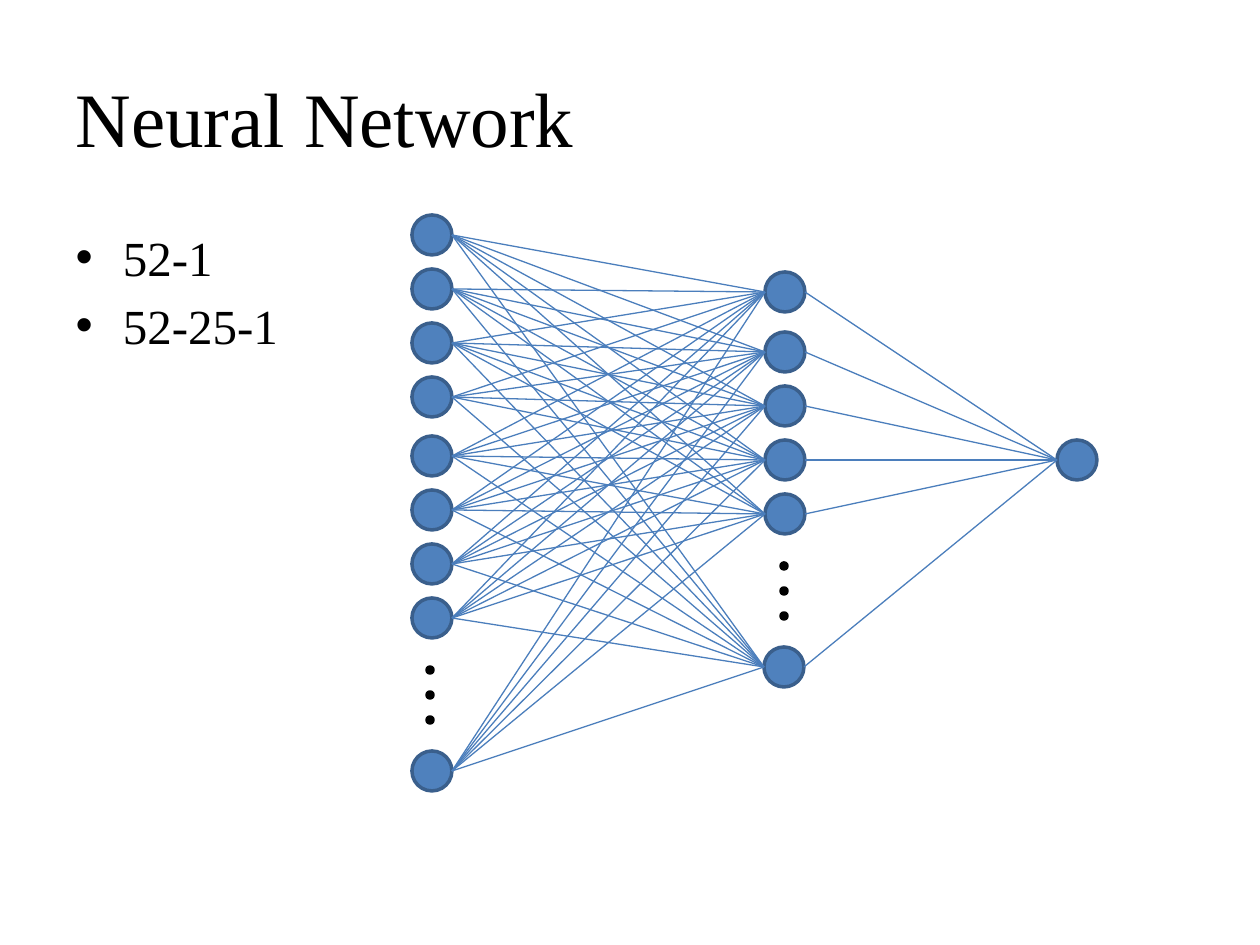
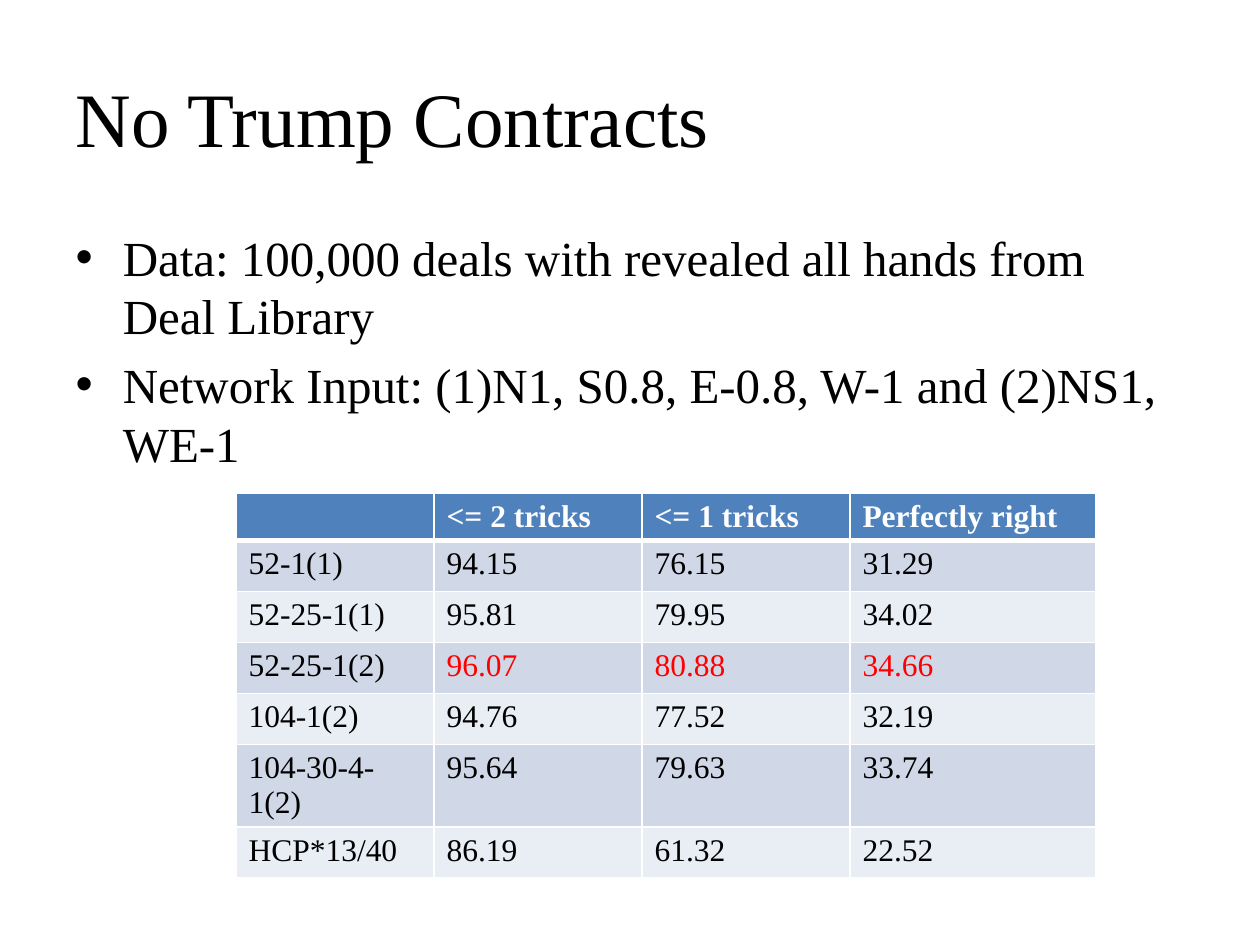
import itertools

import lxml.etree
import pptx
import pptx.dml.color
import pptx.enum.shapes
import pptx.enum.text
import pptx.oxml.ns
import pptx.util

EMU_PER_PX = 914400 / 126
FONT = "Times New Roman"
COLORS = {
    "text": "000000",
    "node": "4F81BD",
    "node_edge": "3A5F8C",
    "link": "4B7EBC",
    "header": "4F81BD",
    "header_text": "FFFFFF",
    "border": "FFFFFF",
    "band_dark": "D0D8E8",
    "band_light": "E9EDF4",
    "best": "FF0000",
}


def px(length):
    return pptx.util.Emu(round(length * EMU_PER_PX))


def rgb(name):
    return pptx.dml.color.RGBColor.from_string(COLORS[name])


class Deck:
    """Shared style plus the slide being filled."""

    def __init__(self):
        self.presentation = pptx.Presentation()
        self.presentation.slide_width = px(1260)
        self.presentation.slide_height = px(945)
        self.slide = None

    def style(self, paragraph, size, color="text", bold=False):
        font = paragraph.font
        font.name, font.size, font.bold = FONT, pptx.util.Pt(size), bold
        font.color.rgb = rgb(color)

    def place(self, placeholder, left, top, width, height):
        placeholder.left, placeholder.top = px(left), px(top)
        placeholder.width, placeholder.height = px(width), px(height)

    def new_slide(self, heading, points):
        layout = self.presentation.slide_layouts[1]
        self.slide = self.presentation.slides.add_slide(layout)
        self.title(heading)
        self.bullets(points)

    def title(self, heading):
        title = self.slide.shapes.title
        self.place(title, 63, 38, 1134, 158)
        frame = title.text_frame
        frame.text = heading
        frame.vertical_anchor = pptx.enum.text.MSO_ANCHOR.MIDDLE
        frame.paragraphs[0].alignment = pptx.enum.text.PP_ALIGN.LEFT
        self.style(frame.paragraphs[0], 44)

    def bullets(self, points):
        body = self.slide.placeholders[1]
        self.place(body, 63, 220, 1134, 624)
        frame = body.text_frame
        frame.text = "\n".join(points)
        frame.auto_size = pptx.enum.text.MSO_AUTO_SIZE.NONE
        frame.margin_top = px(7)
        for index, paragraph in enumerate(frame.paragraphs):
            paragraph.space_before = pptx.util.Pt(5.6 if index else 0)
            self.style(paragraph, 28)

    def circle(self, center, diameter, fill, edge):
        x, y = center
        circle = self.slide.shapes.add_shape(
            pptx.enum.shapes.MSO_SHAPE.OVAL,
            px(x - diameter / 2), px(y - diameter / 2), px(diameter), px(diameter))
        circle.shadow.inherit = False
        circle.fill.solid()
        circle.fill.fore_color.rgb = rgb(fill)
        circle.line.color.rgb = rgb(edge)
        circle.line.width = pptx.util.Pt(2)

    def link(self, start, end):
        link = self.slide.shapes.add_connector(
            pptx.enum.shapes.MSO_CONNECTOR.STRAIGHT,
            *(px(value) for value in start + end))
        link.line.color.rgb = rgb("link")
        link.line.width = pptx.util.Pt(0.75)
        lxml.etree.SubElement(link._element.spPr, pptx.oxml.ns.qn("a:effectLst"))

    def border(self, cell, side, points):
        qn = pptx.oxml.ns.qn
        line = lxml.etree.Element(qn(f"a:{side}"), w=str(pptx.util.Pt(points)))
        fill = lxml.etree.SubElement(line, qn("a:solidFill"))
        lxml.etree.SubElement(fill, qn("a:srgbClr"), val=COLORS["border"])
        cell._tc.get_or_add_tcPr().insert(0, line)

    def table(self, left, top, widths, heights, rows, best_row):
        table = self.slide.shapes.add_table(
            len(rows), len(widths), px(left), px(top),
            px(sum(widths)), px(sum(heights))).table
        for column, width in zip(table.columns, widths):
            column.width = px(width)
        for row, height in zip(table.rows, heights):
            row.height = px(height)
        for r, c in itertools.product(range(len(rows)), range(len(widths))):
            cell = table.cell(r, c)
            cell.text = rows[r][c]
            fill, color = ("band_dark" if r % 2 else "band_light"), "text"
            if r == 0:
                fill, color = "header", "header_text"
                self.border(cell, "lnB", 3)
            elif r == best_row and c > 0:
                color = "best"
            cell.fill.solid()
            cell.fill.fore_color.rgb = rgb(fill)
            self.style(cell.text_frame.paragraphs[0], 18, color, bold=r == 0)


def network_slide(deck):
    deck.new_slide("Neural Network", ["52-1", "52-25-1"])
    node_size, dot_size, step = 40, 6, 54

    # Layers, as node centres
    input_ys = [first + step * i for first in (235, 456) for i in range(4)] + [771]
    inputs = [(432, y) for y in input_ys]
    hidden = [(785, y) for y in [292] + [352 + step * i for i in range(4)]]
    hidden.append((784, 667))
    output = (1077, 460)
    for node in inputs + hidden + [output]:
        deck.circle(node, node_size, "node", "node_edge")

    # Ellipses for the nodes left out
    for x, first_y in ((430, 670), (784, 566)):
        for i in range(3):
            deck.circle((x, first_y + 25 * i), dot_size, "text", "text")

    # Links between layers; one input-hidden pair is not joined
    unlinked = (inputs[3], hidden[4])
    pairs = [pair for pair in itertools.product(inputs, hidden) if pair != unlinked]
    pairs += [(node, output) for node in hidden]
    for (x1, y1), (x2, y2) in pairs:
        deck.link((x1 + node_size / 2, y1), (x2 - node_size / 2, y2))


def contracts_slide(deck):
    deck.new_slide("No Trump Contracts", [
        "Data: 100,000 deals with revealed all hands from Deal Library",
        "Network Input: (1)N1, S0.8, E-0.8, W-1 and (2)NS1, WE-1",
    ])
    # Accuracy of each network, in percent
    results = [
        ("", "<= 2 tricks", "<= 1 tricks", "Perfectly right"),
        ("52-1(1)", "94.15", "76.15", "31.29"),
        ("52-25-1(1)", "95.81", "79.95", "34.02"),
        ("52-25-1(2)", "96.07", "80.88", "34.66"),
        ("104-1(2)", "94.76", "77.52", "32.19"),
        ("104-30-4-1(2)", "95.64", "79.63", "33.74"),
        ("HCP*13/40", "86.19", "61.32", "22.52"),
    ]
    deck.table(236, 493, [198, 208, 208, 246], [19] + [51] * 6, results, best_row=3)


def main():
    deck = Deck()
    network_slide(deck)
    contracts_slide(deck)
    deck.presentation.save("out.pptx")


if __name__ == "__main__":
    main()
